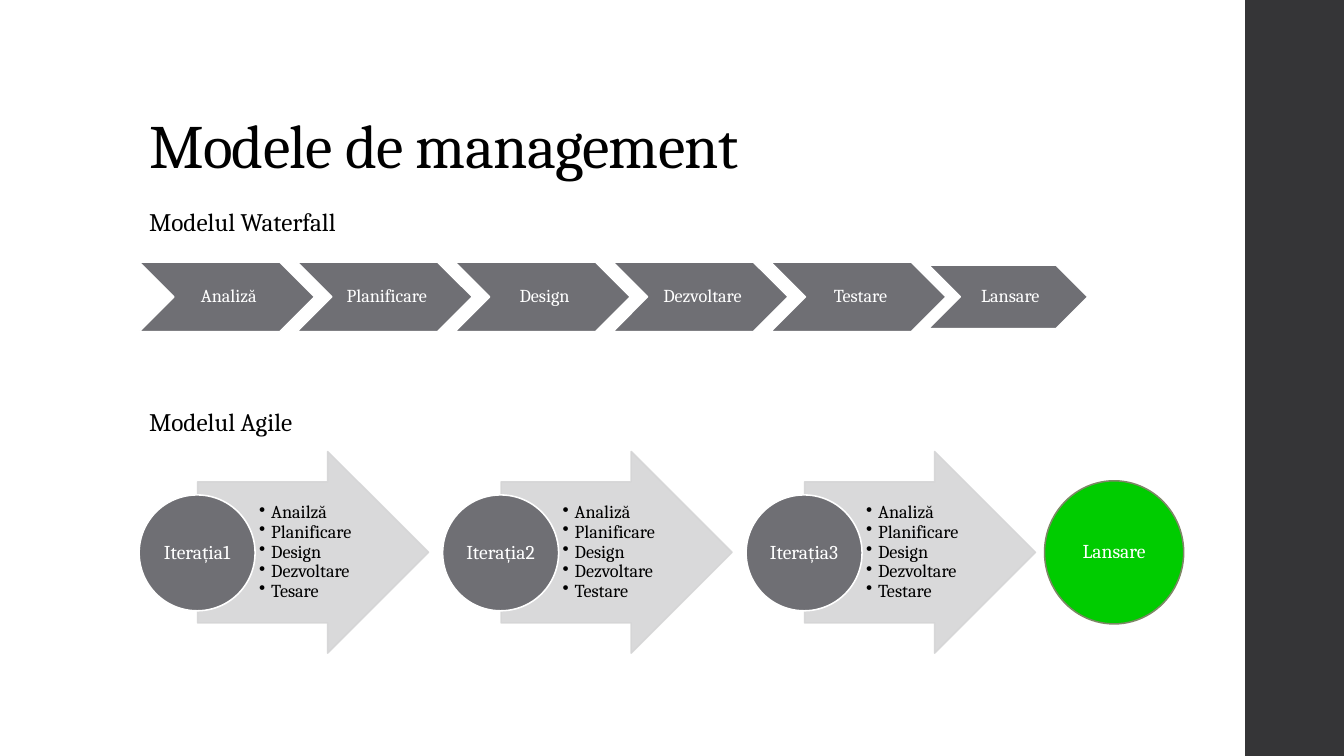
from dataclasses import dataclass

from lxml import etree
from pptx import Presentation
from pptx.dml.color import RGBColor
from pptx.enum.shapes import MSO_SHAPE
from pptx.enum.text import MSO_ANCHOR, PP_ALIGN
from pptx.oxml.ns import qn
from pptx.util import Inches, Pt

RECTANGLE, CHEVRON = MSO_SHAPE.RECTANGLE, MSO_SHAPE.CHEVRON
ARROW, CIRCLE = MSO_SHAPE.RIGHT_ARROW, MSO_SHAPE.OVAL
LEFT, CENTER = PP_ALIGN.LEFT, PP_ALIGN.CENTER
TOP, MIDDLE, BOTTOM = MSO_ANCHOR.TOP, MSO_ANCHOR.MIDDLE, MSO_ANCHOR.BOTTOM


@dataclass(frozen=True)
class Theme:
    font: str = "Cambria"
    ink: str = "000000"
    white: str = "FFFFFF"
    sidebar: str = "353537"
    gray: str = "6F6F74"
    pale: str = "D5D5D6"
    green: str = "00CC00"
    olive: str = "7C8765"
    title_size: int = 44
    heading_size: int = 18
    circle_size: int = 14
    step_size: int = 13
    line_width: float = 1.1


def write_text(frame, lines, *, font, size, color, align=LEFT, anchor=TOP,
               insets=(0.1, 0.05, 0.1, 0.05), line_spacing=0.9,
               tracking=None, bullets=False, wrap=True):
    """Fill a text frame, one paragraph for each line; insets in inches."""
    frame.word_wrap = wrap
    frame.vertical_anchor = anchor
    (frame.margin_left, frame.margin_top,
     frame.margin_right, frame.margin_bottom) = map(Inches, insets)
    for index, line in enumerate(lines):
        paragraph = frame.add_paragraph() if index else frame.paragraphs[0]
        paragraph.alignment = align
        paragraph.line_spacing = line_spacing
        run = paragraph.add_run()
        run.text = line
        run.font.name = font
        run.font.size = Pt(size)
        run.font.color.rgb = RGBColor.from_string(color)
        if tracking is not None:
            run.font._element.set("spc", str(round(tracking * 100)))
        if bullets:
            properties = paragraph._p.get_or_add_pPr()
            properties.set("marL", str(Inches(0.12)))
            properties.set("indent", str(Inches(-0.12)))
            etree.SubElement(properties, qn("a:buChar")).set("char", "•")


class SlideBuilder:
    def __init__(self, slide, theme):
        self.slide = slide
        self.theme = theme

    def group(self):
        return self.slide.shapes.add_group_shape().shapes

    def text(self, line, box, **text_format):
        textbox = self.slide.shapes.add_textbox(*map(Inches, box))
        write_text(textbox.text_frame, [line], font=self.theme.font,
                   color=self.theme.ink, **text_format)

    def shape(self, kind, box, fill, line=None, shapes=None, opacity=None,
              adjustments=()):
        container = self.slide.shapes if shapes is None else shapes
        shape = container.add_shape(kind, *map(Inches, box))
        shape.shadow.inherit = False
        for index, value in enumerate(adjustments):
            shape.adjustments[index] = value
        shape.fill.solid()
        shape.fill.fore_color.rgb = RGBColor.from_string(fill)
        if line:
            shape.line.color.rgb = RGBColor.from_string(line)
            shape.line.width = Pt(self.theme.line_width)
        else:
            shape.line.fill.background()
        if opacity is not None:
            for color in shape._element.spPr.iter(qn("a:srgbClr")):
                alpha = etree.SubElement(color, qn("a:alpha"))
                alpha.set("val", str(opacity * 1000))
        return shape

    def step(self, label, box, shapes):
        theme = self.theme
        chevron = self.shape(CHEVRON, box, theme.gray, theme.white, shapes)
        write_text(chevron.text_frame, [label], font=theme.font,
                   size=theme.step_size, color=theme.white, align=CENTER,
                   anchor=MIDDLE, insets=(0.06, 0.02, 0.02, 0.02))

    def circle(self, label, box, fill, line, shapes):
        theme = self.theme
        circle = self.shape(CIRCLE, box, fill, line, shapes)
        write_text(circle.text_frame, [label], font=theme.font,
                   size=theme.circle_size, color=theme.white, align=CENTER,
                   anchor=MIDDLE, insets=(0.01,) * 4)

    def iteration(self, label, tasks, left, shapes):
        theme = self.theme
        arrow = self.shape(ARROW, (left + 0.58, 4.48, 2.29, 2), theme.pale,
                           theme.pale, shapes, opacity=90,
                           adjustments=(0.7, 0.5))
        # The left inset keeps the list clear of the circle
        write_text(arrow.text_frame, tasks, font=theme.font,
                   size=theme.step_size, color=theme.ink, anchor=MIDDLE,
                   insets=(0.61, 0.01, 0.02, 0.01), bullets=True)
        self.circle(label, (left, 4.91, 1.15, 1.15), theme.gray, theme.white,
                    shapes)


def main():
    theme = Theme()
    presentation = Presentation()
    presentation.slide_width = Inches(13.33)
    presentation.slide_height = Inches(7.5)
    slide = presentation.slides.add_slide(presentation.slide_layouts[6])
    builder = SlideBuilder(slide, theme)
    margin = 1.38

    # Sidebar, title and headings
    builder.shape(RECTANGLE, (12.35, 0, 0.98, 7.5), theme.sidebar)
    builder.text("Modele de management", (margin, 0.4, 10.6, 1.45),
                 size=theme.title_size, anchor=BOTTOM, tracking=-0.5)
    for heading, top in (("Modelul Waterfall", 2), ("Modelul Agile", 3.98)):
        builder.text(heading, (margin, top, 2.33, 0.4), wrap=False,
                     size=theme.heading_size, line_spacing=1)

    # Waterfall: overlapping chevrons, the last one smaller
    phases = ["Analiză", "Planificare", "Design", "Dezvoltare", "Testare"]
    width, height, middle = 1.74, 0.69, 2.945
    pitch = 0.9 * width
    waterfall = builder.group()
    for index, phase in enumerate(phases):
        builder.step(phase, (margin + index * pitch, middle - height / 2,
                             width, height), waterfall)
    builder.step("Lansare", (margin + len(phases) * pitch, 2.63, 1.58, 0.63),
                 waterfall)

    # Agile: three iterations, then the release
    first_tasks = ["Anailză", *phases[1:4], "Tesare"]
    agile = builder.group()
    for index, tasks in enumerate((first_tasks, phases, phases)):
        builder.iteration(f"Iterația{index + 1}", tasks,
                          margin + index * 3.01, agile)
    builder.circle("Lansare", (10.36, 4.77, 1.38, 1.42), theme.green,
                   theme.olive, builder.slide.shapes)

    presentation.save("out.pptx")


if __name__ == "__main__":
    main()
